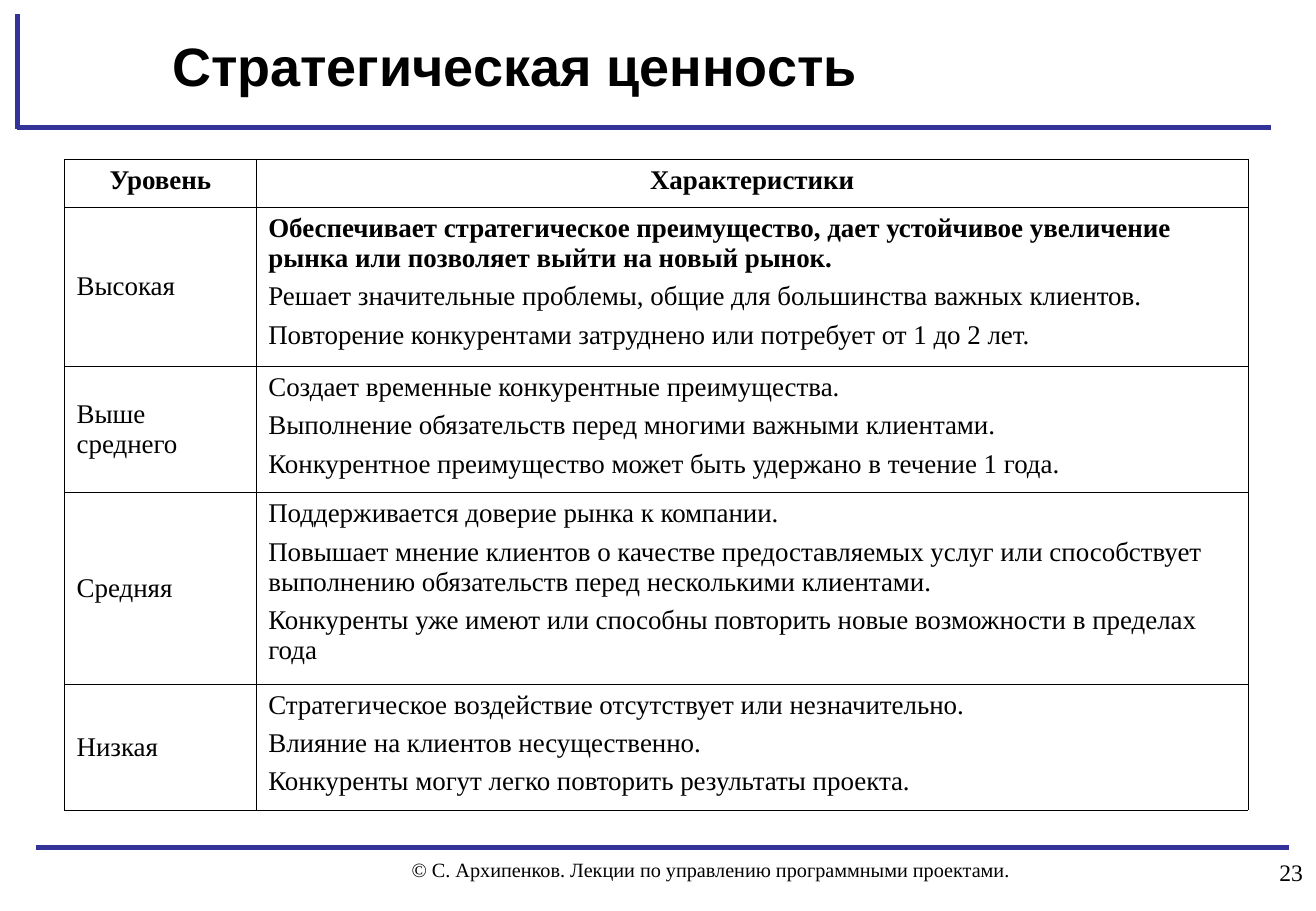
from lxml import etree
from pptx import Presentation
from pptx import util as u
from pptx.dml.color import RGBColor
from pptx.enum import shapes, text
from pptx.oxml import ns

COLORS = {"ink": "000000", "rule": "333399"}
SERIF, SANS = "Times New Roman", "Arial"

COLUMN_WIDTHS = [4.01, 20.75]
ROW_HEIGHTS = [1.0, 3.33, 2.64, 4.0, 2.64]
HEADINGS = ["Уровень", "Характеристики"]
LEVELS = [
    ("Высокая", [
        "Обеспечивает стратегическое преимущество, дает устойчивое увеличение "
        "рынка или позволяет выйти на новый рынок.",
        "Решает значительные проблемы, общие для большинства важных клиентов.",
        "Повторение конкурентами затруднено или потребует от 1 до 2 лет.",
    ]),
    ("Выше среднего", [
        "Создает временные конкурентные преимущества.",
        "Выполнение обязательств перед многими важными клиентами.",
        "Конкурентное преимущество может быть удержано в течение 1 года.",
    ]),
    ("Средняя", [
        "Поддерживается доверие рынка к компании.",
        "Повышает мнение клиентов о качестве предоставляемых услуг или способствует "
        "выполнению обязательств перед несколькими клиентами.",
        "Конкуренты уже имеют или способны повторить новые возможности в пределах года",
    ]),
    ("Низкая", [
        "Стратегическое воздействие отсутствует или незначительно.",
        "Влияние на клиентов несущественно.",
        "Конкуренты могут легко повторить результаты проекта.",
    ]),
]


class SlideBuilder:
    def __init__(self, slide):
        self.slide = slide

    def fill_text(self, frame, lines, size, font=SERIF, bold=False,
                  align=text.PP_ALIGN.LEFT, after=0):
        """Fill a text frame with one paragraph per line, all in one style."""
        frame.word_wrap = True
        frame.text = "\n".join(lines)
        for paragraph in frame.paragraphs:
            paragraph.alignment = align
            paragraph.space_after = u.Pt(after)
            for run in paragraph.runs:
                run.font.name = font
                run.font.size = u.Pt(size)
                run.font.bold = bold
                run.font.color.rgb = RGBColor.from_string(COLORS["ink"])

    def rule(self, x1, y1, x2, y2):
        line = self.slide.shapes.add_connector(
            shapes.MSO_CONNECTOR.STRAIGHT, *map(u.Cm, (x1, y1, x2, y2)))
        line.line.color.rgb = RGBColor.from_string(COLORS["rule"])
        line.line.width = u.Pt(3)
        etree.SubElement(line.element.spPr, ns.qn("a:effectLst"))

    def text_box(self, left, top, width, height, content, size,
                 anchor=text.MSO_ANCHOR.TOP, **style):
        box = self.slide.shapes.add_textbox(*map(u.Cm, (left, top, width, height)))
        box.text_frame.vertical_anchor = anchor
        self.fill_text(box.text_frame, [content], size, **style)

    def outline(self, cell):
        """Draw thin borders on all four sides and leave the cell unfilled."""
        properties = cell._tc.get_or_add_tcPr()
        for side in ("a:lnL", "a:lnR", "a:lnT", "a:lnB"):
            border = etree.SubElement(properties, ns.qn(side), w=str(u.Pt(0.45)))
            fill = etree.SubElement(border, ns.qn("a:solidFill"))
            etree.SubElement(fill, ns.qn("a:srgbClr"), val=COLORS["ink"])
        cell.fill.background()

    def level_table(self, left, top):
        table = self.slide.shapes.add_table(
            len(ROW_HEIGHTS), len(COLUMN_WIDTHS), u.Cm(left), u.Cm(top),
            u.Cm(sum(COLUMN_WIDTHS)), u.Cm(sum(ROW_HEIGHTS))).table
        table.horz_banding = False
        for column, width in zip(table.columns, COLUMN_WIDTHS):
            column.width = u.Cm(width)
        for row, height in zip(table.rows, ROW_HEIGHTS):
            row.height = u.Cm(height)
        for cell in table.iter_cells():
            self.outline(cell)
        for index, heading in enumerate(HEADINGS):
            self.fill_text(table.cell(0, index).text_frame, [heading], 16,
                           bold=True, align=text.PP_ALIGN.CENTER)
        for index, (level, traits) in enumerate(LEVELS, start=1):
            name_cell, traits_cell = table.cell(index, 0), table.cell(index, 1)
            name_cell.vertical_anchor = text.MSO_ANCHOR.MIDDLE
            self.fill_text(name_cell.text_frame, [level], 16)
            self.fill_text(traits_cell.text_frame, traits, 16, after=5)
        table.cell(1, 1).text_frame.paragraphs[0].runs[0].font.bold = True


def main():
    presentation = Presentation()
    presentation.slide_width = u.Cm(27.53)
    presentation.slide_height = u.Cm(19.05)
    builder = SlideBuilder(presentation.slides.add_slide(presentation.slide_layouts[6]))

    builder.rule(0.76, 17.73, 26.97, 17.73)
    builder.rule(0.36, 2.67, 26.59, 2.67)
    builder.rule(0.36, 0.3, 0.36, 2.69)
    builder.text_box(8.36, 17.81, 14.53, 1.24,
                     "© С. Архипенков. Лекции по управлению программными проектами.", 12)
    builder.text_box(24.16, 17.81, 3.35, 1.24, "23", 14, align=text.PP_ALIGN.RIGHT)
    builder.text_box(3.35, 0.3, 22.83, 2.13, "Стратегическая ценность", 32,
                     anchor=text.MSO_ANCHOR.MIDDLE, font=SANS, bold=True)
    builder.level_table(1.35, 3.33)

    presentation.save("out.pptx")


if __name__ == "__main__":
    main()
